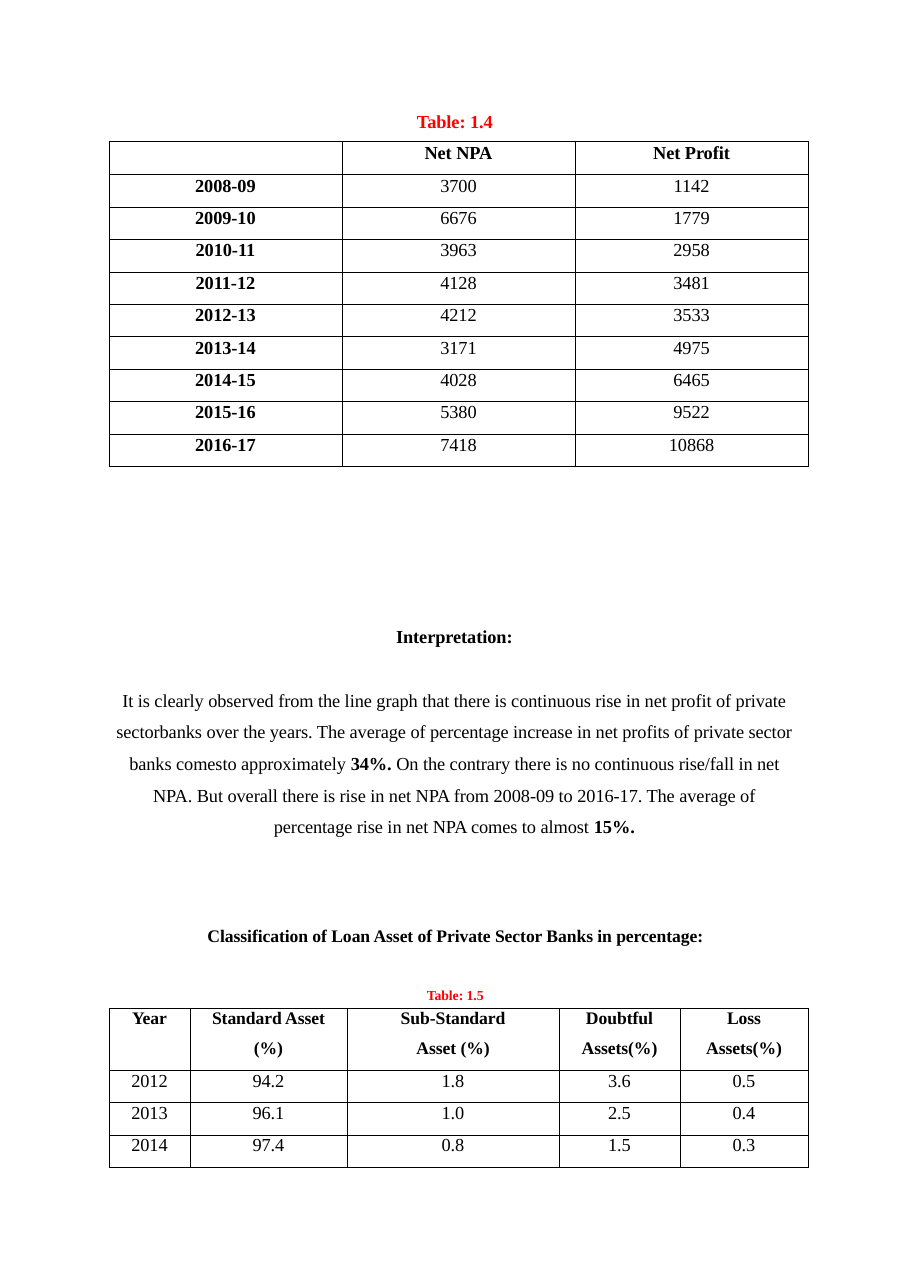
import pptx
import pptx.dml.color
import pptx.enum.text
import pptx.oxml
import pptx.oxml.ns
import pptx.util

Pt = pptx.util.Pt
CENTER = pptx.enum.text.PP_ALIGN.CENTER
FONT = "Times New Roman"
BLACK = pptx.dml.color.RGBColor(0x00, 0x00, 0x00)
RED = pptx.dml.color.RGBColor(0xFF, 0x00, 0x00)

PROFIT_ROWS = [
    ("", "Net NPA", "Net Profit"),
    ("2008-09", "3700", "1142"),
    ("2009-10", "6676", "1779"),
    ("2010-11", "3963", "2958"),
    ("2011-12", "4128", "3481"),
    ("2012-13", "4212", "3533"),
    ("2013-14", "3171", "4975"),
    ("2014-15", "4028", "6465"),
    ("2015-16", "5380", "9522"),
    ("2016-17", "7418", "10868"),
]
ASSET_ROWS = [
    ("Year", "Standard Asset\n(%)", "Sub-Standard\nAsset (%)",
     "Doubtful\nAssets(%)", "Loss\nAssets(%)"),
    ("2012", "94.2", "1.8", "3.6", "0.5"),
    ("2013", "96.1", "1.0", "2.5", "0.4"),
    ("2014", "97.4", "0.8", "1.5", "0.3"),
]
# (wording, bold)
INTERPRETATION = [
    ("It is clearly observed from the line graph that there is continuous rise "
     "in net profit of private sectorbanks over the years. The average of "
     "percentage increase in net profits of private sector banks comesto "
     "approximately ", False),
    ("34%. ", True),
    ("On the contrary there is no continuous rise/fall in net NPA. But overall "
     "there is rise in net NPA from 2008-09 to 2016-17. The average of "
     "percentage rise in net NPA comes to almost ", False),
    ("15%.", True),
]


def style_run(run, size, bold, color=BLACK, tracking=-0.05):
    font = run.font
    font.name, font.size, font.bold = FONT, Pt(size), bold
    font.color.rgb = color
    run._r.get_or_add_rPr().set("spc", str(round(tracking * 100)))


def add_centered(paragraph, parts, size, color=BLACK, before=0, line=None):
    """Fill a paragraph with (wording, bold) parts."""
    paragraph.alignment = CENTER
    paragraph.space_before = Pt(before)
    if line:
        paragraph.line_spacing = Pt(line)
    for wording, bold in parts:
        run = paragraph.add_run()
        run.text = wording
        style_run(run, size, bold, color)


def add_text_frame(slide, left, top, width, height, inset):
    frame = slide.shapes.add_textbox(Pt(left), Pt(top), Pt(width), Pt(height)).text_frame
    frame.word_wrap = True
    frame.margin_left = frame.margin_right = frame.margin_bottom = 0
    frame.margin_top = Pt(inset)
    return frame


def add_borders(cell):
    properties = cell._tc.get_or_add_tcPr()
    for position, side in enumerate(("lnL", "lnR", "lnT", "lnB")):
        properties.insert(position, pptx.oxml.parse_xml(
            f'<a:{side} {pptx.oxml.ns.nsdecls("a")} w="{Pt(0.5)}"><a:solidFill>'
            f'<a:srgbClr val="{BLACK}"/></a:solidFill></a:{side}>'))


def fill_cell(cell, wording, size, bold, line):
    cell.fill.background()
    cell.margin_left = cell.margin_right = cell.margin_top = cell.margin_bottom = 0
    add_borders(cell)
    cell.text_frame.text = wording
    for index, paragraph in enumerate(cell.text_frame.paragraphs):
        paragraph.alignment = CENTER
        paragraph.line_spacing = Pt(line)
        paragraph.space_before = Pt(6.2 if index else 0)
        for run in paragraph.runs:
            style_run(run, size, bold)


def add_grid(slide, left, top, widths, heights, rows, head_size, head_line,
             body_line, bold_years):
    table = slide.shapes.add_table(len(rows), len(widths), Pt(left), Pt(top),
                                   Pt(sum(widths)), Pt(sum(heights))).table
    table.first_row = table.horz_banding = False
    for column, width in zip(table.columns, widths):
        column.width = Pt(width)
    for r, (height, row) in enumerate(zip(heights, rows)):
        table.rows[r].height = Pt(height)
        for c, wording in enumerate(row):
            fill_cell(table.cell(r, c), wording,
                      head_size if r == 0 else 12,
                      r == 0 or (bold_years and c == 0),
                      head_line if r == 0 else body_line)


def add_profit_section(slide, left, top, width):
    caption = add_text_frame(slide, left + 199.3, top, 53.5, 16.5, 1.7)
    add_centered(caption.paragraphs[0], [("Table: 1.4", True)], 12, RED)
    add_grid(slide, left, top + 22, [width / 3] * 3, [21.2] * len(PROFIT_ROWS),
             PROFIT_ROWS, 12, 14, 13.9, bold_years=True)


def add_interpretation(slide, left, top, width):
    frame = add_text_frame(slide, left, top, width, 140.4, 1.7)
    add_centered(frame.paragraphs[0], [("Interpretation:", True)], 12)
    add_centered(frame.add_paragraph(), INTERPRETATION, 12, before=21.2, line=20.6)


def add_asset_section(slide, left, top, width):
    heading = add_text_frame(slide, left + 61.3, top, 330, 52.6, 2.5)
    add_centered(heading.paragraphs[0], [(
        "Classification of Loan Asset of Private Sector Banks in percentage:", True)], 11.5)
    add_centered(heading.add_paragraph(), [("Table: 1.5", True)], 9, RED, before=26.3)
    middle_widths = [102.6, 138.6, 79]
    widths = [53, *middle_widths, width - 53 - sum(middle_widths)]
    add_grid(slide, left, top + 57, widths, [40.6] + [21.15] * 3,
             ASSET_ROWS, 11.5, 13.1, 13.6, bold_years=False)


def main():
    deck = pptx.Presentation()
    deck.slide_width, deck.slide_height = Pt(594.72), Pt(841.68)
    slide = deck.slides.add_slide(deck.slide_layouts[6])
    add_profit_section(slide, 71.2, 70.6, 457)
    add_interpretation(slide, 73, 406.8, 448)
    add_asset_section(slide, 71.2, 601.9, 457)
    deck.save("out.pptx")


if __name__ == "__main__":
    main()
